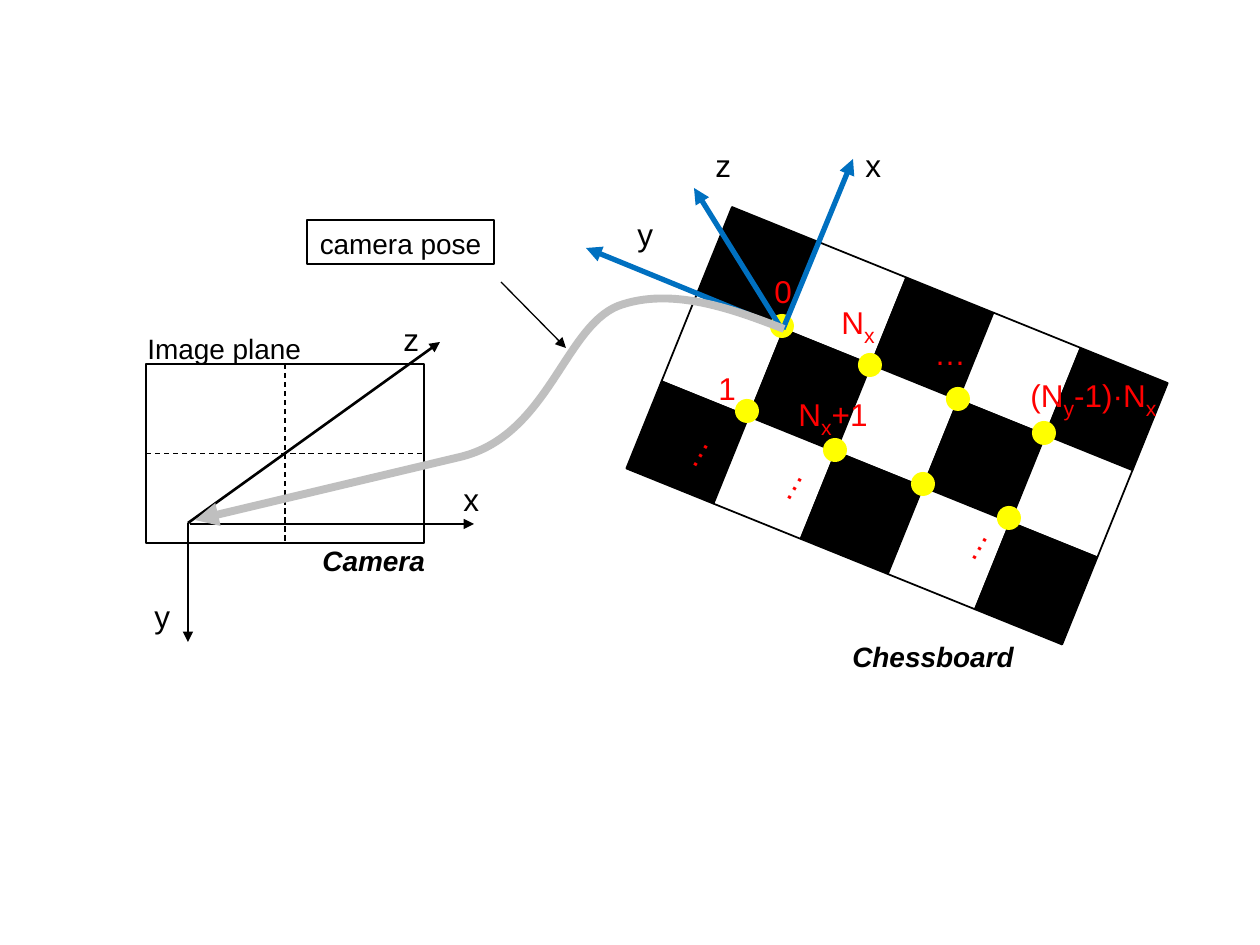
from dataclasses import dataclass
from itertools import product
from math import cos, radians, sin

from lxml import etree
from pptx import Presentation
from pptx import util as u
from pptx.dml.color import RGBColor
from pptx.enum import dml, shapes, text
from pptx.oxml.ns import qn

PX = u.Inches(1) / 126
COLORS = {"ink": "000000", "paper": "FFFFFF", "dot": "FFFF00",
          "index": "FF0000", "board_axis": "0070C0", "pose": "BFBFBF"}
TEXT_FRAME = {"word_wrap": False, "auto_size": text.MSO_AUTO_SIZE.SHAPE_TO_FIT_TEXT,
              "vertical_anchor": text.MSO_ANCHOR.TOP,
              "margin_left": u.Inches(0.1), "margin_right": u.Inches(0.1),
              "margin_top": u.Inches(0.05), "margin_bottom": u.Inches(0.05)}
SUBSCRIPT_SIZE = 20.8


@dataclass(frozen=True)
class Label:
    """Pieces alternate between normal text and subscript."""
    left: int
    top: int
    width: int
    height: int
    pieces: tuple[str, ...]
    color: str = "ink"
    size: int = 18
    strong: bool = False
    rotation: float = 0
    align: text.PP_ALIGN = text.PP_ALIGN.LEFT


@dataclass(frozen=True)
class Arrow:
    start: tuple[int, int]
    end: tuple[int, int]
    color: str = "ink"
    weight: float = 1.5


LABELS = [
    Label(391, 314, 41, 48, ("z",)),
    Label(625, 209, 41, 48, ("y",)),
    Label(142, 591, 41, 48, ("y",)),
    Label(135, 325, 181, 44, ("Image plane",), size=16),
    Label(310, 537, 131, 44, ("Camera",), size=16, strong=True),
    Label(840, 633, 190, 44, ("Chessboard",), size=16, strong=True),
    Label(853, 140, 41, 48, ("x",)),
    Label(451, 474, 41, 48, ("x",)),
    Label(703, 140, 41, 48, ("z",)),
    Label(762, 266, 44, 48, ("0",), "index"),
    Label(706, 363, 44, 48, ("1",), "index"),
    Label(786, 384, 98, 54, ("N", "x", "+1"), "index"),
    Label(829, 292, 62, 54, ("N", "x"), "index"),
    Label(1018, 365, 154, 54, ("(N", "y", "-1)·N", "x"), "index"),
    Label(922, 328, 57, 48, ("…",), "index"),
    Label(662, 426, 57, 48, ("…",), "index", rotation=300.3),
    Label(756, 459, 57, 48, ("…",), "index", rotation=300.3),
    Label(941, 519, 57, 48, ("…",), "index", rotation=300.3),
]
POSE_LABEL = Label(307, 220, 187, 44, ("camera pose",), size=16,
                   align=text.PP_ALIGN.CENTER)
POSE_POINTER = Arrow((501, 282), (566, 348), weight=0.75)
CAMERA_AXES = [Arrow((188, 523), (188, 642)), Arrow((188, 523), (440, 342)),
               Arrow((190, 524), (474, 524))]
BOARD_AXES = [Arrow((784, 329), (586, 248), "board_axis", 3),
              Arrow((783, 329), (853, 159), "board_axis", 3),
              Arrow((781, 328), (694, 188), "board_axis", 3)]
# Two Bézier segments, then a straight end.
POSE_CURVE = [(784, 329), (735, 310), (672, 286), (618, 306),
              (564, 328), (548, 436), (460, 457), (195, 520)]

BOARD_CORNER, SQUARE, TILT = (732, 207), 94, 22
ROWS, COLUMNS = 3, 5
DOT_SIZE, DOT_ROW_STEP = 24, (-35, 85)
FIRST_DOT_ROW = [(782, 326), (870, 365), (958, 399), (1044, 433)]


def emu(*lengths: float) -> list[int]:
    return [round(length * PX) for length in lengths]


def rgb(name: str) -> RGBColor:
    return RGBColor.from_string(COLORS[name])


def style_line(line, color: str, weight: float, arrow: bool = False) -> None:
    line.color.rgb = rgb(color)
    line.width = u.Pt(weight)
    if arrow:
        etree.SubElement(line._get_or_add_ln(), qn("a:tailEnd"), type="triangle")


def add_line(slide, line: Arrow, arrow: bool = True):
    connector = slide.shapes.add_connector(
        shapes.MSO_CONNECTOR.STRAIGHT, *emu(*line.start, *line.end))
    style_line(connector.line, line.color, line.weight, arrow)
    etree.SubElement(connector._element.spPr, qn("a:effectLst"))
    return connector


def add_label(slide, label: Label):
    box = slide.shapes.add_textbox(
        *emu(label.left, label.top, label.width, label.height))
    box.rotation = label.rotation
    for name, value in TEXT_FRAME.items():
        setattr(box.text_frame, name, value)
    paragraph = box.text_frame.paragraphs[0]
    paragraph.alignment = label.align
    for position, piece in enumerate(label.pieces):
        run = paragraph.add_run()
        run.text = piece
        subscript = position % 2 == 1
        size = SUBSCRIPT_SIZE if subscript else label.size
        font_format = {"name": "Arial", "size": u.Pt(size),
                       "bold": label.strong, "italic": label.strong}
        for name, value in font_format.items():
            setattr(run.font, name, value)
        run.font.color.rgb = rgb(label.color)
        if subscript:
            run._r.get_or_add_rPr().set("baseline", "-25000")
    return box


def add_centred(slide, kind, x: float, y: float, size: int, fill: str):
    shape = slide.shapes.add_shape(kind, *emu(x - size / 2, y - size / 2, size, size))
    shape.shadow.inherit = False
    shape.fill.solid()
    shape.fill.fore_color.rgb = rgb(fill)
    shape.line.fill.background()
    return shape


def add_image_plane(slide) -> None:
    plane = slide.shapes.add_shape(shapes.MSO_SHAPE.RECTANGLE, *emu(146, 364, 278, 179))
    plane.shadow.inherit = False
    plane.fill.background()
    style_line(plane.line, "ink", 0.75)
    for first_side, last_side in ((1, 3), (0, 2)):
        middle = add_line(slide, Arrow((146, 364), (424, 543), weight=0.75), arrow=False)
        middle.begin_connect(plane, first_side)
        middle.end_connect(plane, last_side)
        middle.line.dash_style = dml.MSO_LINE.DASH


def add_chessboard(slide) -> None:
    across, down = SQUARE * cos(radians(TILT)), SQUARE * sin(radians(TILT))
    left, top = BOARD_CORNER
    for row, column in product(range(ROWS), range(COLUMNS)):
        x = left + (column + 0.5) * across - (row + 0.5) * down
        y = top + (column + 0.5) * down + (row + 0.5) * across
        fill = "paper" if (row + column) % 2 else "ink"
        square = add_centred(slide, shapes.MSO_SHAPE.RECTANGLE, x, y, SQUARE, fill)
        square.rotation = TILT
        style_line(square.line, "ink", 1)
    for row, (x, y) in product(range(2), FIRST_DOT_ROW):
        add_centred(slide, shapes.MSO_SHAPE.OVAL, x + row * DOT_ROW_STEP[0],
                    y + row * DOT_ROW_STEP[1], DOT_SIZE, "dot")


def add_pose_curve(slide) -> None:
    """Outline all points, then group the first six into Bézier segments."""
    start, *others = [emu(*point) for point in POSE_CURVE]
    builder = slide.shapes.build_freeform(*start)
    builder.add_line_segments(others, close=False)
    curve = builder.convert_to_shape()
    steps = list(curve._element.iter(qn("a:lnTo")))
    for first in (0, 3):
        bezier = etree.Element(qn("a:cubicBezTo"))
        steps[first].addprevious(bezier)
        for step in steps[first:first + 3]:
            bezier.append(step[0])
            step.getparent().remove(step)
    curve.shadow.inherit = False
    curve.fill.background()
    style_line(curve.line, "pose", 4.5, arrow=True)


def main() -> None:
    deck = Presentation()
    deck.slide_width, deck.slide_height = u.Inches(10), u.Inches(7.5)
    slide = deck.slides.add_slide(deck.slide_layouts[6])
    add_image_plane(slide)
    add_chessboard(slide)
    for axis in CAMERA_AXES + BOARD_AXES:
        add_line(slide, axis)
    for label in LABELS:
        add_label(slide, label)
    add_pose_curve(slide)
    style_line(add_label(slide, POSE_LABEL).line, "ink", 0.75)
    add_line(slide, POSE_POINTER)
    deck.save("out.pptx")


if __name__ == "__main__":
    main()
